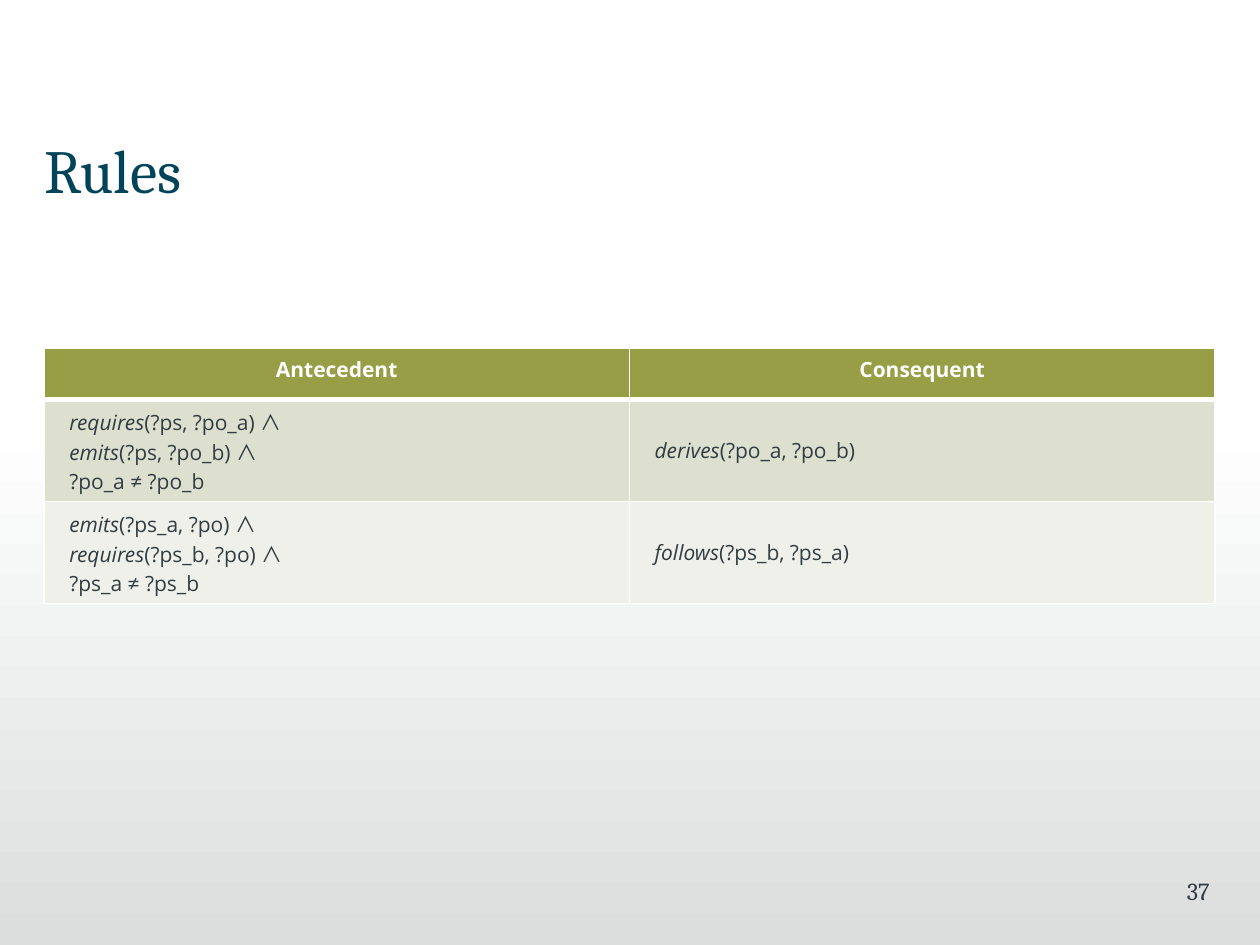
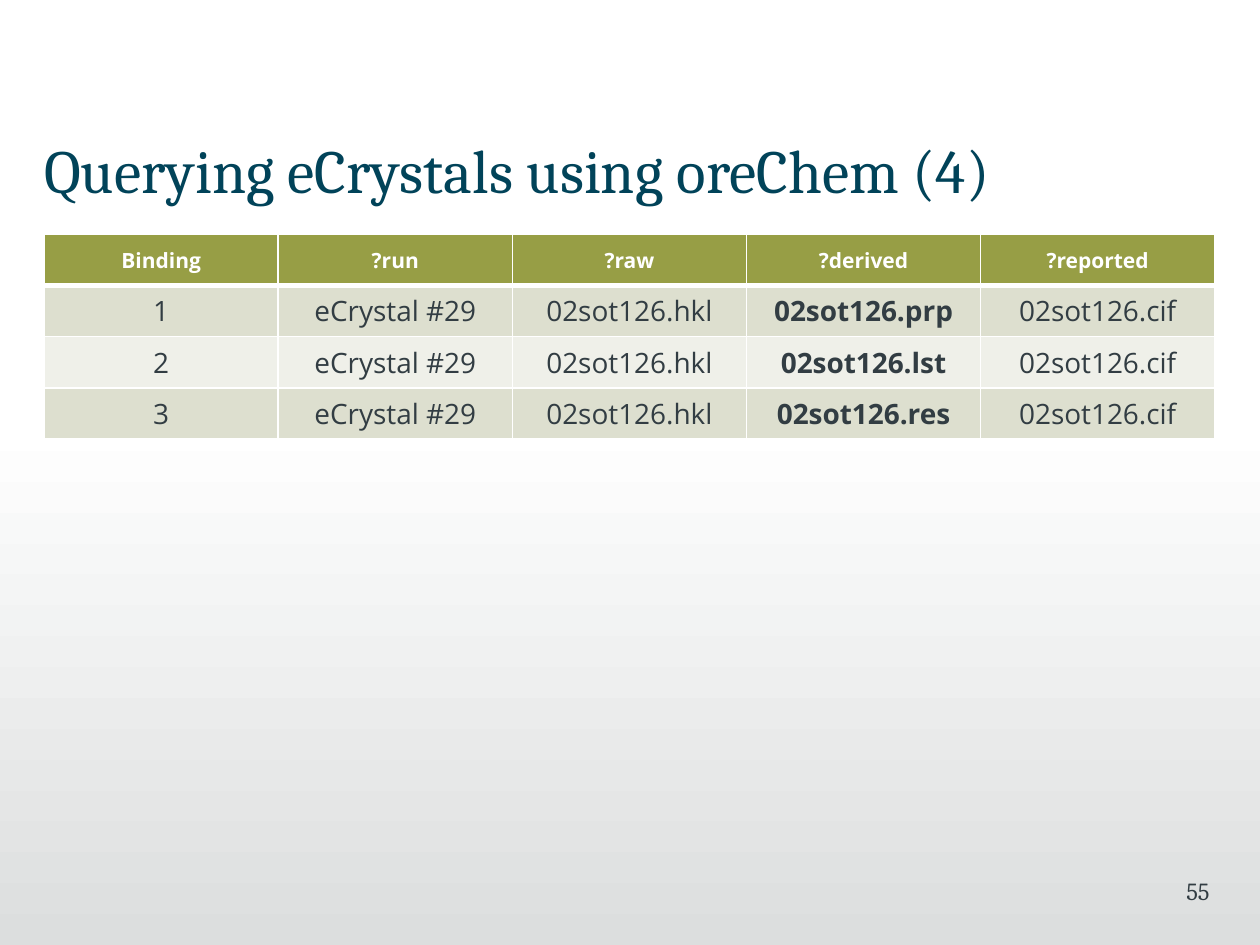
from lxml.etree import SubElement
from pptx import Presentation
from pptx.dml.color import RGBColor
from pptx.enum.shapes import MSO_SHAPE
from pptx.enum.text import MSO_ANCHOR, PP_ALIGN
from pptx.oxml.ns import qn
from pptx.util import Pt

WHITE = RGBColor(0xFF, 0xFF, 0xFF)
MIST = RGBColor(0xDC, 0xDE, 0xDE)
NAVY = RGBColor(0x01, 0x43, 0x59)
SLATE = RGBColor(0x32, 0x3D, 0x43)
OLIVE = RGBColor(0x97, 0x9E, 0x45)
ROW_FILLS = [RGBColor(0xDD, 0xDF, 0xCF), RGBColor(0xEF, 0xF0, 0xE9)]

SERIF, SANS, SYMBOL = "Cambria", "Open Sans", "Noto Sans CJK JP"
LEFT, CONTENT_WIDTH = 25.2, 669
HEADER_HEIGHT = 29.2
AND = "∧ "

# Each body cell is a list of lines, each line a list of (text, format) pieces.
ITALIC, BOLD, PLAIN, CONJUNCTION = {"italic": True}, {"bold": True}, {}, {"font": SYMBOL}
rule_rows = [
    [[[("requires", ITALIC), ("(?ps, ?po_a) ", PLAIN), (AND, CONJUNCTION)],
      [("emits", ITALIC), ("(?ps, ?po_b) ", PLAIN), (AND, CONJUNCTION)],
      [("?po_a ≠ ?po_b", PLAIN)]],
     [[("derives", ITALIC), ("(?po_a, ?po_b)", PLAIN)]]],
    [[[("emits", ITALIC), ("(?ps_a, ?po) ", PLAIN), (AND, CONJUNCTION)],
      [("requires", ITALIC), ("(?ps_b, ?po) ", PLAIN), (AND, CONJUNCTION)],
      [("?ps_a ≠ ?ps_b", PLAIN)]],
     [[("follows", ITALIC), ("(?ps_b, ?ps_a)", PLAIN)]]],
]
binding_rows = [
    [[[(str(number), PLAIN)]], [[("eCrystal #29", PLAIN)]],
     [[("02sot126.hkl", PLAIN)]], [[(f"02sot126.{derived}", BOLD)]],
     [[("02sot126.cif", PLAIN)]]]
    for number, derived in enumerate(["prp", "lst", "res"], start=1)
]

pages = [
    {"title": "Rules", "number": "37", "top": 199,
     "headers": ["Antecedent", "Consequent"], "rows": rule_rows,
     "row_height": 58.4, "size": 12, "side_margin": 14.4,
     "header_anchor": MSO_ANCHOR.TOP, "align": PP_ALIGN.LEFT},
    {"title": "Querying eCrystals using oreChem (4)", "number": "55", "top": 134,
     "headers": ["Binding", "?run", "?raw", "?derived", "?reported"],
     "rows": binding_rows,
     "row_height": 29.2, "size": 16, "side_margin": 7.2,
     "header_anchor": MSO_ANCHOR.MIDDLE, "align": PP_ALIGN.CENTER},
]


def write(para, text, size=12, color=SLATE, font=SANS, bold=False, italic=False):
    """Append one formatted span to a paragraph."""
    span = para.add_run()
    span.text = text
    span.font.size = Pt(size)
    span.font.bold = bold
    span.font.italic = italic
    span.font.color.rgb = color
    span.font.name = font
    SubElement(span.font._element, qn("a:ea"), typeface=font)


def style_cell(cell, fill, top_line, bottom_line, side_margin, anchor):
    """Give a table cell its borders, fill, margins and anchor."""
    properties = cell._tc.get_or_add_tcPr()
    for side, width in zip("LRTB", (1, 1, top_line, bottom_line)):
        line = SubElement(properties, qn(f"a:ln{side}"), w=str(Pt(width)))
        paint = SubElement(line, qn("a:solidFill"))
        SubElement(paint, qn("a:srgbClr"), val=str(WHITE))
    cell.fill.solid()
    cell.fill.fore_color.rgb = fill
    cell.margin_left = cell.margin_right = Pt(side_margin)
    cell.margin_top = cell.margin_bottom = Pt(3.6)
    cell.vertical_anchor = anchor


deck = Presentation()
deck.slide_width, deck.slide_height = Pt(720), Pt(540)

for page in pages:
    slide = deck.slides.add_slide(deck.slide_layouts[5])
    slide.background.fill.solid()
    slide.background.fill.fore_color.rgb = WHITE

    band = slide.shapes.add_shape(MSO_SHAPE.RECTANGLE, Pt(0), Pt(240), Pt(720), Pt(300))
    band.shadow.inherit = False
    band.line.fill.background()
    band.fill.gradient()
    band.fill.gradient_angle = 270
    for stop, position, color in zip(band.fill.gradient_stops, (0, 1), (WHITE, MIST)):
        stop.position = position
        stop.color.rgb = color

    title = slide.shapes.title
    title.left, title.top = Pt(LEFT), Pt(71.3)
    title.width, title.height = Pt(CONTENT_WIDTH), Pt(51.1)
    title.text_frame.margin_left = Pt(0)
    title.text_frame.vertical_anchor = MSO_ANCHOR.MIDDLE
    title_para = title.text_frame.paragraphs[0]
    title_para.alignment = PP_ALIGN.LEFT
    write(title_para, page["title"], size=35, color=NAVY, font=SERIF)

    number_box = slide.shapes.add_textbox(Pt(541.4), Pt(496.8), Pt(149.8), Pt(36))
    number_box.text_frame.word_wrap = True
    number_box.text_frame.margin_right = Pt(0)
    number_para = number_box.text_frame.paragraphs[0]
    number_para.alignment = PP_ALIGN.RIGHT
    write(number_para, page["number"], size=14, font=SERIF)

    headers, rows = page["headers"], page["rows"]
    table_height = HEADER_HEIGHT + len(rows) * page["row_height"]
    table = slide.shapes.add_table(
        len(rows) + 1, len(headers), Pt(LEFT), Pt(page["top"]),
        Pt(CONTENT_WIDTH), Pt(table_height)).table
    for column in table.columns:
        column.width = Pt(CONTENT_WIDTH / len(headers))
    table.rows[0].height = Pt(HEADER_HEIGHT)

    for column_index, header in enumerate(headers):
        cell = table.cell(0, column_index)
        style_cell(cell, OLIVE, 1, 3, page["side_margin"], page["header_anchor"])
        para = cell.text_frame.paragraphs[0]
        para.alignment = PP_ALIGN.CENTER
        write(para, header, color=WHITE, bold=True)

    for row_index, row in enumerate(rows):
        table.rows[row_index + 1].height = Pt(page["row_height"])
        for column_index, lines in enumerate(row):
            cell = table.cell(row_index + 1, column_index)
            style_cell(cell, ROW_FILLS[row_index % 2], 3 if row_index == 0 else 1, 1,
                       page["side_margin"], MSO_ANCHOR.MIDDLE)
            para = cell.text_frame.paragraphs[0]
            para.alignment = page["align"]
            for line_index, pieces in enumerate(lines):
                if line_index:
                    para.add_line_break()
                for text, text_format in pieces:
                    write(para, text, size=page["size"], **text_format)

deck.save("out.pptx")
